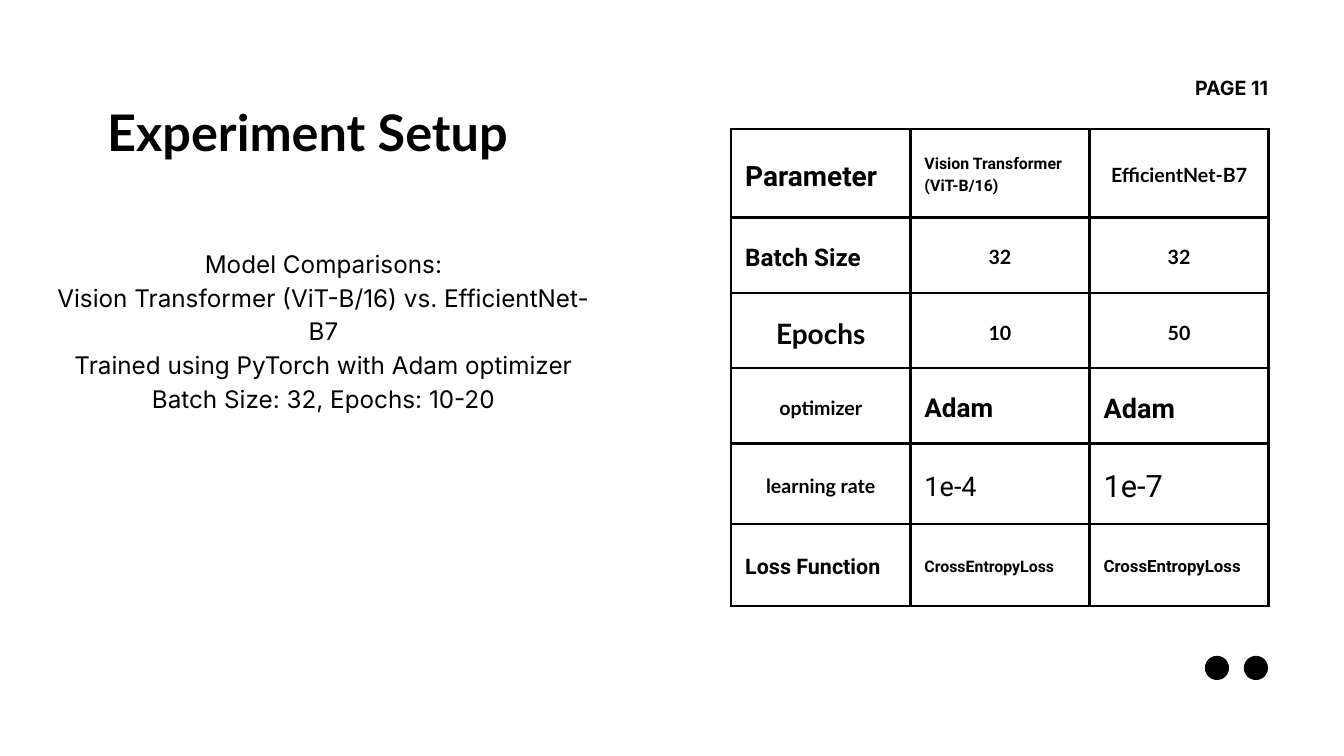
from dataclasses import dataclass

from lxml import etree
from pptx import Presentation
from pptx.dml.color import RGBColor
from pptx.enum.shapes import MSO_SHAPE
from pptx.enum.text import MSO_ANCHOR, PP_ALIGN
from pptx.oxml.ns import qn
from pptx.util import Inches, Pt

LEFT, CENTER, RIGHT = PP_ALIGN.LEFT, PP_ALIGN.CENTER, PP_ALIGN.RIGHT
MIDDLE = MSO_ANCHOR.MIDDLE
OVAL = MSO_SHAPE.OVAL


@dataclass(frozen=True)
class Theme:
    ink: str = "000000"
    title_font: str = "Lato"
    body_font: str = "Inter"
    table_font: str = "Roboto"
    title_size: int = 54
    body_size: int = 26
    page_size: int = 21
    line_factor: float = 1.4
    border_width: int = 3


THEME = Theme()
INK = RGBColor.from_string(THEME.ink)


def write_lines(frame, lines, font, size, bold, align):
    frame.word_wrap = True
    for index, line in enumerate(lines):
        paragraph = frame.add_paragraph() if index else frame.paragraphs[0]
        paragraph.text = line
        paragraph.alignment = align
        paragraph.line_spacing = Pt(round(size * THEME.line_factor, 1))
        paragraph.font.name = font
        paragraph.font.size = Pt(size)
        paragraph.font.bold = bold
        paragraph.font.color.rgb = INK


def add_borders(cell):
    properties = cell._tc.get_or_add_tcPr()
    for side in ("a:lnL", "a:lnR", "a:lnT", "a:lnB"):
        line = etree.SubElement(properties, qn(side), w=str(Pt(THEME.border_width)))
        fill = etree.SubElement(line, qn("a:solidFill"))
        etree.SubElement(fill, qn("a:srgbClr"), val=THEME.ink)


presentation = Presentation()
presentation.slide_width = Inches(20)
presentation.slide_height = Inches(11.25)
slide = presentation.slides.add_slide(presentation.slide_layouts[6])

# Pair of dots in the lower right corner
for left in (17.93, 18.51):
    dot = slide.shapes.add_shape(OVAL, Inches(left), Inches(9.76), Inches(0.36), Inches(0.36))
    dot.shadow.inherit = False
    dot.fill.solid()
    dot.fill.fore_color.rgb = INK
    dot.line.fill.background()

# Parameter table: text, font, size, bold
LATO, ROBOTO = THEME.title_font, THEME.table_font
ROWS = [
    (1.32, [("Parameter", ROBOTO, 30, True),
            ("Vision Transformer (ViT-B/16)", ROBOTO, 17, True),
            ("EfficientNet-B7", LATO, 21, True)]),
    (1.12, [("Batch Size", ROBOTO, 26, True),
            ("32", LATO, 21, True),
            ("32", LATO, 21, True)]),
    (1.12, [("Epochs", LATO, 30, True),
            ("10", LATO, 21, True),
            ("50", LATO, 21, True)]),
    (1.12, [("optimizer", LATO, 21, True),
            ("Adam", ROBOTO, 28, True),
            ("Adam", ROBOTO, 29, True)]),
    (1.2, [("learning rate", LATO, 21, True),
           ("1e-4", ROBOTO, 29, False),
           ("1e-7", ROBOTO, 33, False)]),
    (1.22, [("Loss Function", ROBOTO, 23, True),
            ("CrossEntropyLoss", ROBOTO, 17, True),
            ("CrossEntropyLoss", ROBOTO, 18, True)]),
]
table = slide.shapes.add_table(
    len(ROWS), 3, Inches(10.88), Inches(1.92), Inches(8), Inches(7.1)).table
table.first_row = False
table.horz_banding = False
for column in table.columns:
    column.width = Inches(8 / 3)

for row_index, (height, entries) in enumerate(ROWS):
    table.rows[row_index].height = Inches(height)
    for column_index, (text, font, size, bold) in enumerate(entries):
        cell = table.cell(row_index, column_index)
        cell.vertical_anchor = MIDDLE
        cell.margin_left = cell.margin_right = Inches(0.21)
        cell.margin_top = cell.margin_bottom = Inches(0.21)
        align = CENTER if font == LATO else LEFT
        write_lines(cell.text_frame, [text], font, size, bold, align)
        add_borders(cell)
        cell.fill.background()

# Page number, title and description
TEXTS = [
    ((17.35, 1.07, 1.52, 0.4), ["PAGE 11"],
     THEME.body_font, THEME.page_size, True, RIGHT),
    ((1.12, 1.36, 6.91, 1.01), ["Experiment Setup"],
     THEME.title_font, THEME.title_size, True, CENTER),
    ((0.64, 3.63, 8.35, 1.99),
     ["Model Comparisons:",
      "Vision Transformer (ViT-B/16) vs. EfficientNet-B7",
      "Trained using PyTorch with Adam optimizer",
      "Batch Size: 32, Epochs: 10-20"],
     THEME.body_font, THEME.body_size, False, CENTER),
]
for box, lines, font, size, bold, align in TEXTS:
    frame = slide.shapes.add_textbox(*map(Inches, box)).text_frame
    frame.margin_left = frame.margin_right = 0
    frame.margin_top = frame.margin_bottom = 0
    write_lines(frame, lines, font, size, bold, align)

presentation.save("out.pptx")
